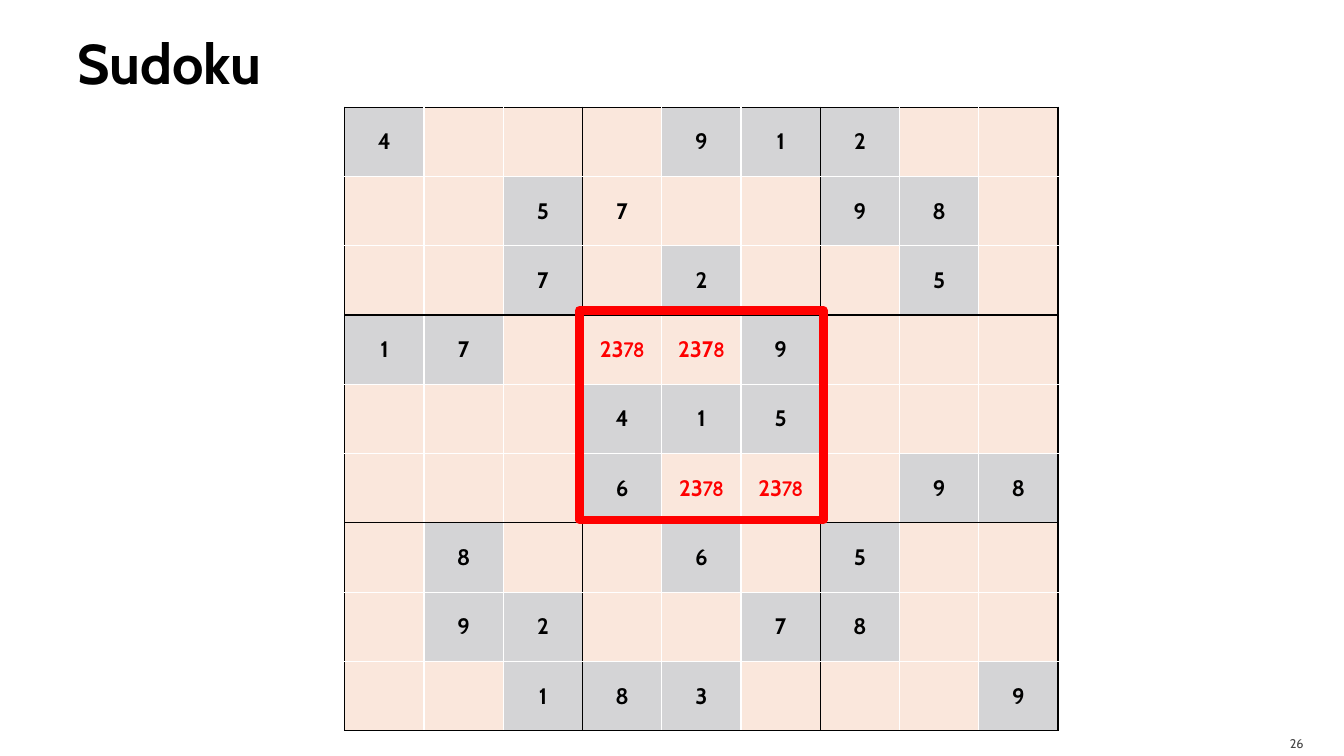
from lxml.etree import SubElement
from pptx import Presentation
from pptx.dml.color import RGBColor
from pptx.enum.shapes import MSO_SHAPE
from pptx.enum.text import MSO_ANCHOR, MSO_AUTO_SIZE, PP_ALIGN
from pptx.oxml.ns import qn
from pptx.util import Cm, Pt

BLACK, WHITE, RED = "000000", "FFFFFF", "FF0000"
GIVEN_FILL, OPEN_FILL = "D4D4D6", "FAE7DC"
BODY_FONT, CANDIDATE_FONT = "Cabin", "Comic Neue"
SIZE, BLOCK = 9, 3

GIVENS = [
    "4...912..",
    "..5...98.",
    "..7.2..5.",
    "17...9...",
    "...415...",
    "...6...98",
    ".8..6.5..",
    ".92..78..",
    "..183...9",
]
DEDUCED = {(1, 3): "7"}
CANDIDATES = {
    (3, 3): ("23", "78"),
    (3, 4): ("237", "8"),
    (5, 4): ("23", "78"),
    (5, 5): ("23", "78"),
}


def color(value):
    """Turn a hex string into a colour."""
    return RGBColor.from_string(value)


def add_text(paragraph, text, size=16, font=BODY_FONT, fill=BLACK, bold=False, align=None):
    """Append a formatted run to a paragraph."""
    if align is not None:
        paragraph.alignment = align
    run = paragraph.add_run()
    run.text = text
    run.font.size = Pt(size)
    run.font.name = font
    run.font.bold = bold
    run.font.color.rgb = color(fill)


def place(shape, box):
    """Move and size a shape to a box in centimetres."""
    shape.left, shape.top, shape.width, shape.height = [Cm(length) for length in box]


def set_insets(frame, left, top, right, bottom):
    """Set the margins of a text frame in centimetres."""
    frame.margin_left, frame.margin_top = Cm(left), Cm(top)
    frame.margin_right, frame.margin_bottom = Cm(right), Cm(bottom)
    frame.vertical_anchor = MSO_ANCHOR.MIDDLE
    frame.word_wrap = True


def add_title(slide, box, text):
    """Fill the title placeholder."""
    place(slide.shapes.title, box)
    frame = slide.shapes.title.text_frame
    frame.auto_size = MSO_AUTO_SIZE.NONE
    set_insets(frame, 0.25, 0.13, 0.13, 0.13)
    add_text(frame.paragraphs[0], text, size=40, bold=True, align=PP_ALIGN.LEFT)


def add_page_number(slide, box, text):
    """Write the page number in the corner."""
    frame = slide.shapes.add_textbox(*[Cm(length) for length in box]).text_frame
    set_insets(frame, 0.25, 0.13, 0.25, 0)
    add_text(frame.paragraphs[0], text, size=9, fill="454545", align=PP_ALIGN.RIGHT)


def set_borders(cell, row, column):
    """Draw black lines on block edges and white lines elsewhere."""
    on_block_edge = {
        "a:lnL": column % BLOCK == 0,
        "a:lnR": (column + 1) % BLOCK == 0,
        "a:lnT": row % BLOCK == 0,
        "a:lnB": (row + 1) % BLOCK == 0,
    }
    properties = cell._tc.get_or_add_tcPr()
    for position, (tag, is_edge) in enumerate(on_block_edge.items()):
        line = SubElement(properties, qn(tag), w=str(Pt(1)))
        fill = SubElement(line, qn("a:solidFill"))
        SubElement(fill, qn("a:srgbClr"), val=BLACK if is_edge else WHITE)
        properties.insert(position, line)


def fill_cell(cell, row, column):
    """Write the given, deduced or candidate digits of one cell."""
    given = GIVENS[row][column].replace(".", "")
    cell.fill.solid()
    cell.fill.fore_color.rgb = color(GIVEN_FILL if given else OPEN_FILL)
    cell.vertical_anchor = MSO_ANCHOR.MIDDLE
    set_borders(cell, row, column)
    paragraph = cell.text_frame.paragraphs[0]
    digit = given or DEDUCED.get((row, column))
    if digit:
        add_text(paragraph, digit, bold=True, align=PP_ALIGN.CENTER)
    for text, font in zip(CANDIDATES.get((row, column), ()), (BODY_FONT, CANDIDATE_FONT)):
        add_text(paragraph, text, font=font, fill=RED, bold=True, align=PP_ALIGN.CENTER)


def add_sudoku(slide, box):
    """Build the sudoku grid as a table."""
    left, top, width, height = box
    table = slide.shapes.add_table(
        SIZE, SIZE, Cm(left), Cm(top), Cm(width), Cm(height)
    ).table
    table.first_row = table.horz_banding = False
    for index in range(SIZE):
        table.columns[index].width = Cm(width / SIZE)
        table.rows[index].height = Cm(height / SIZE)
    for row in range(SIZE):
        for column in range(SIZE):
            fill_cell(table.cell(row, column), row, column)


def add_block_frame(slide, box):
    """Outline the block under discussion."""
    frame = slide.shapes.add_shape(MSO_SHAPE.RECTANGLE, *[Cm(length) for length in box])
    frame.shadow.inherit = False
    frame.fill.background()
    frame.line.color.rgb = color(RED)
    frame.line.width = Pt(6)


def main():
    """Build and save the presentation."""
    presentation = Presentation()
    presentation.slide_width, presentation.slide_height = Cm(33.87), Cm(19.05)
    slide = presentation.slides.add_slide(presentation.slide_layouts[5])
    add_title(slide, (1.7, 0.2, 30.48, 2.74), "Sudoku")
    add_page_number(slide, (30.38, 18.29, 2.72, 0.76), "26")
    add_sudoku(slide, (8.69, 2.7, 17.98, 15.72))
    add_block_frame(slide, (14.6, 7.82, 6.15, 5.28))
    presentation.save("out.pptx")


if __name__ == "__main__":
    main()
